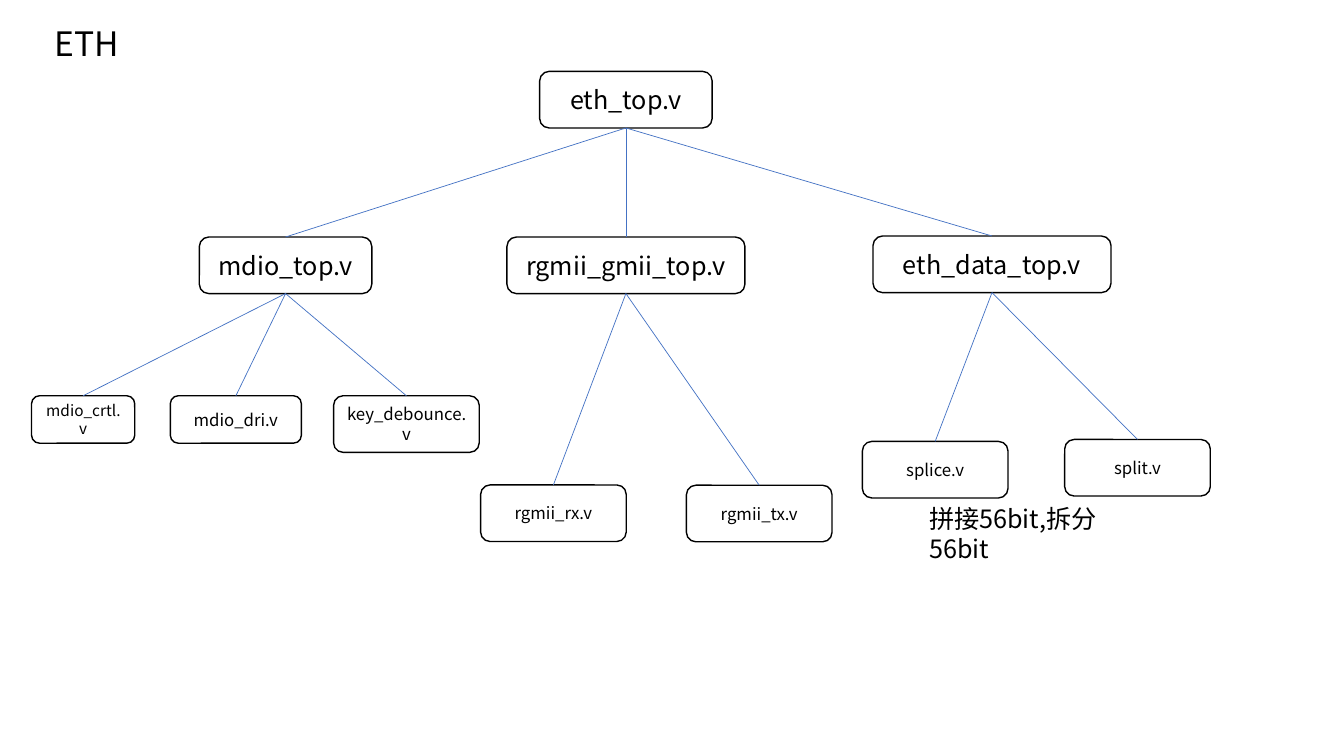
"""Build the ETH module tree slide."""
from lxml.etree import SubElement as Sub
from pptx import Presentation
from pptx.dml.color import RGBColor as RGB
from pptx.enum.shapes import MSO_CONNECTOR as Link, MSO_SHAPE as Kind
from pptx.enum.text import MSO_ANCHOR as Anchor, MSO_AUTO_SIZE as Fit, PP_ALIGN as Align
from pptx.oxml.ns import qn
from pptx.util import Pt

FONT = "Noto Sans CJK SC"
HUES = {"ink": "000000", "fill": "FFFFFF", "link": "4472C4"}
TITLE = ("ETH", 24, (31.7, 20.2, 73.4, 25.2))
NOTE = ("拼接56bit,拆分56bit", 18, (656.6, 355.7, 170.6, 28.8))

# name, parent, font size, centre x, top, width, height
NODES = [
    ("eth_top.v", None, 18, 447.1, 51, 123.2, 40.4),
    ("mdio_top.v", "eth_top.v", 18, 204, 169.3, 123.2, 40.4),
    ("rgmii_gmii_top.v", "eth_top.v", 18, 447.1, 169.3, 170, 40.4),
    ("eth_data_top.v", "eth_top.v", 18, 708.6, 168.6, 170, 40.4),
    ("mdio_crtl.v", "mdio_top.v", 11, 59.4, 282.7, 73.7, 33.9),
    ("mdio_dri.v", "mdio_top.v", 12, 168.5, 282.7, 93.6, 33.9),
    ("key_debounce.v", "mdio_top.v", 12, 290.3, 282.7, 104, 40.4),
    ("rgmii_rx.v", "rgmii_gmii_top.v", 12, 395.3, 346.4, 104, 40.4),
    ("rgmii_tx.v", "rgmii_gmii_top.v", 12, 542.3, 346.6, 104, 40.4),
    ("splice.v", "eth_data_top.v", 12, 668, 315.3, 104, 40.4),
    ("split.v", "eth_data_top.v", 12, 812.5, 313.9, 104, 40.4),
]


def hue(key):
    return RGB.from_string(HUES[key])


def write(shape, text, size, align=Align.LEFT, anchor=Anchor.MIDDLE):
    frame = shape.text_frame
    frame.word_wrap = True
    frame.auto_size = Fit.NONE
    frame.vertical_anchor = anchor
    para = frame.paragraphs[0]
    para.alignment = align
    run = para.add_run()
    run.text = text
    run.font.size = Pt(size)
    run.font.name = FONT
    run.font.color.rgb = hue("ink")
    Sub(run.font._element, qn("a:ea")).set("typeface", FONT)
    return para


def add_box(slide, name, size, mid, top, wide, high):
    box = slide.shapes.add_shape(
        Kind.ROUNDED_RECTANGLE, Pt(mid - wide / 2), Pt(top), Pt(wide), Pt(high))
    box.shadow.inherit = False
    box.fill.solid()
    box.fill.fore_color.rgb = hue("fill")
    box.line.color.rgb = hue("ink")
    box.line.width = Pt(1)
    write(box, name, size, Align.CENTER)
    return box


def join(slide, top, low):
    line = slide.shapes.add_connector(Link.STRAIGHT, 0, 0, 0, 0)
    line.begin_connect(top, 2)
    line.end_connect(low, 0)
    line.line.color.rgb = hue("link")
    line.line.width = Pt(0.5)
    Sub(line._element.spPr, qn("a:effectLst"))


def main():
    deck = Presentation()
    deck.slide_width, deck.slide_height = Pt(960), Pt(540)
    slide = deck.slides.add_slide(deck.slide_layouts[5])

    text, size, spot = TITLE
    title = slide.shapes.title
    title.left, title.top, title.width, title.height = map(Pt, spot)
    write(title, text, size).line_spacing = 0.9

    boxes = {}
    for name, root, *rest in NODES:
        boxes[name] = add_box(slide, name, *rest)
        if root:
            join(slide, boxes[root], boxes[name])

    text, size, spot = NOTE
    write(slide.shapes.add_textbox(*map(Pt, spot)), text, size, anchor=Anchor.TOP)
    deck.save("out.pptx")


if __name__ == "__main__":
    main()
